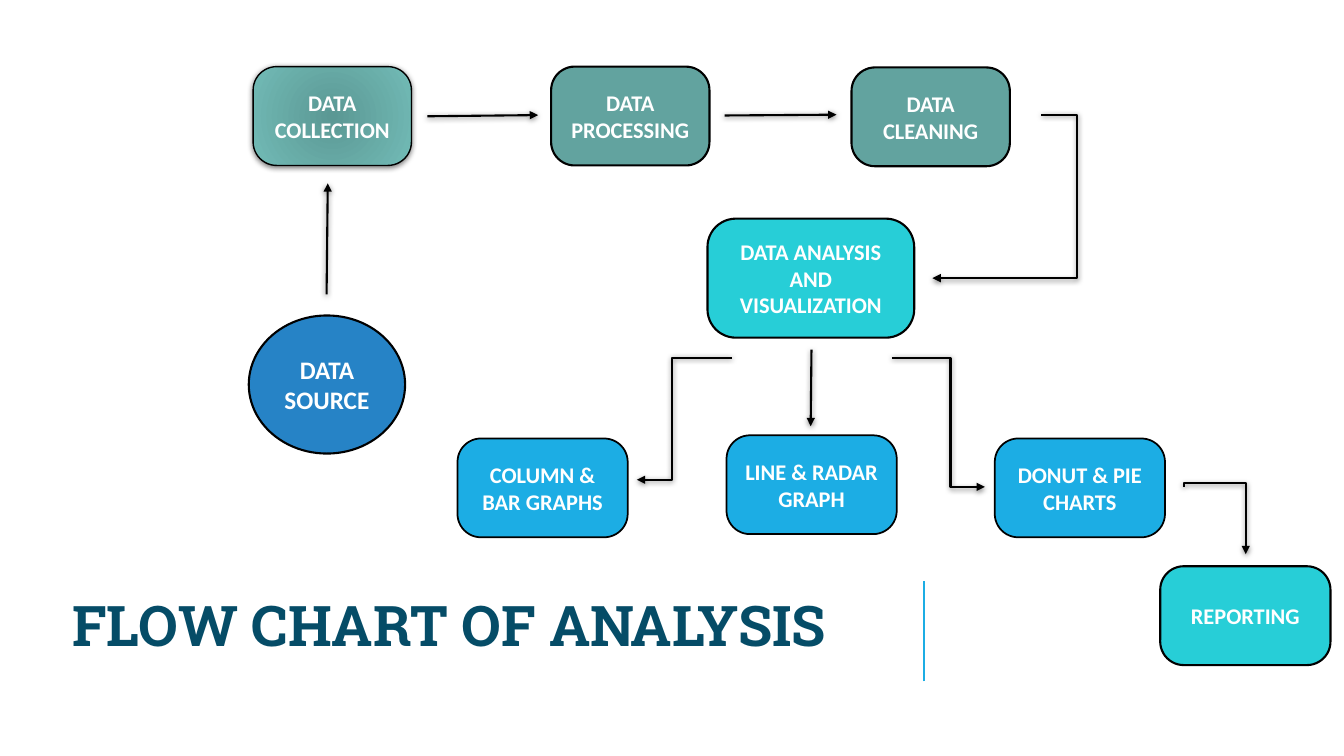
"""Build a one-slide flow chart of the data analysis process."""
import lxml.etree
import pptx
import pptx.dml.color
import pptx.enum.dml
import pptx.enum.shapes
import pptx.enum.text
import pptx.oxml
import pptx.oxml.ns
import pptx.util

Cm = pptx.util.Cm
Pt = pptx.util.Pt
RGBColor = pptx.dml.color.RGBColor
Shape = pptx.enum.shapes.MSO_SHAPE
Connector = pptx.enum.shapes.MSO_CONNECTOR
qn = pptx.oxml.ns.qn

BLACK = RGBColor(0x00, 0x00, 0x00)
WHITE = RGBColor(0xFF, 0xFF, 0xFF)
BLUE = RGBColor(0x26, 0x83, 0xC6)
SKY = RGBColor(0x1C, 0xAD, 0xE4)
TURQUOISE = RGBColor(0x27, 0xCE, 0xD7)
TEAL = RGBColor(0x62, 0xA3, 0x9F)
TEAL_DARK = RGBColor(0x5B, 0x98, 0x94)
TEAL_LIGHT = RGBColor(0x72, 0xBB, 0xB6)
NAVY_DARK = RGBColor(0x04, 0x35, 0x48)
NAVY = RGBColor(0x05, 0x4C, 0x67)
NAVY_LIGHT = RGBColor(0x06, 0x5A, 0x7A)
AQUA = RGBColor(0x7D, 0xE2, 0xE7)

NAMESPACE = 'xmlns:a="http://schemas.openxmlformats.org/drawingml/2006/main"'
SHADOW = (
    f'<a:effectLst {NAMESPACE}><a:outerShdw blurRad="50800" dist="12700" dir="5400000">'
    '<a:srgbClr val="000000"><a:alpha val="50000"/></a:srgbClr></a:outerShdw></a:effectLst>'
)


def radial_fill(colors, focus):
    """Return a circular gradient with evenly spaced colours."""
    stops = "".join(
        f'<a:gs pos="{100000 * index // (len(colors) - 1)}"><a:srgbClr val="{color}"/></a:gs>'
        for index, color in enumerate(colors)
    )
    sides = " ".join(f'{side}="{focus * 1000}"' for side in "ltrb")
    return pptx.oxml.parse_xml(
        f'<a:gradFill {NAMESPACE}><a:gsLst>{stops}</a:gsLst>'
        f'<a:path path="circle"><a:fillToRect {sides}/></a:path></a:gradFill>'
    )


presentation = pptx.Presentation()
presentation.slide_width = Cm(33.87)
presentation.slide_height = Cm(19.05)
slide = presentation.slides.add_slide(presentation.slide_layouts[6])

divider = slide.shapes.add_connector(
    Connector.STRAIGHT, Cm(23.29), Cm(17.17), Cm(23.29), Cm(14.63))
divider.line.color.rgb = SKY
divider.line.width = Pt(1.5)
lxml.etree.SubElement(divider._element.spPr, qn("a:effectLst"))

STEP_SIZE = (3.99, 2.49)
CHART_SIZE = (4.29, 2.49)
nodes = [
    ("DATA SOURCE", 6.27, 7.95, (3.94, 3.48), BLUE, 1.5),
    ("DATA COLLECTION", 6.38, 1.68, STEP_SIZE, TEAL_DARK, 1),
    ("DATA PROCESSING", 13.89, 1.68, STEP_SIZE, TEAL, 1.5),
    ("DATA CLEANING", 21.46, 1.70, STEP_SIZE, TEAL, 1.5),
    ("DATA ANALYSIS AND\nVISUALIZATION", 17.83, 5.51, (5.21, 3), TURQUOISE, 1.5),
    ("COLUMN & BAR GRAPHS", 11.53, 11.05, CHART_SIZE, SKY, 1.25),
    ("LINE & RADAR GRAPH", 18.31, 10.97, CHART_SIZE, SKY, 1.25),
    ("DONUT & PIE CHARTS", 25.07, 11.05, CHART_SIZE, SKY, 1.25),
    ("REPORTING", 29.24, 14.27, CHART_SIZE, TURQUOISE, 1.5),
]
for label, left, top, (width, height), color, outline in nodes:
    is_source = label == "DATA SOURCE"
    kind = Shape.FLOWCHART_CONNECTOR if is_source else Shape.ROUNDED_RECTANGLE
    shape = slide.shapes.add_shape(kind, Cm(left), Cm(top), Cm(width), Cm(height))
    if not is_source:
        shape.adjustments[0] = 0.238
    shape.fill.solid()
    shape.fill.fore_color.rgb = color
    shape.line.color.rgb = BLACK
    shape.line.width = Pt(outline)
    if label == "DATA COLLECTION":
        properties = shape._element.spPr
        properties.replace(properties.find(qn("a:solidFill")),
                           radial_fill([TEAL_DARK, TEAL_LIGHT], 100))
        properties.append(pptx.oxml.parse_xml(SHADOW))
    else:
        shape.shadow.inherit = False
    frame = shape.text_frame
    frame.word_wrap = True
    frame.vertical_anchor = pptx.enum.text.MSO_ANCHOR.MIDDLE
    for index, text in enumerate(label.split("\n")):
        paragraph = frame.add_paragraph() if index else frame.paragraphs[0]
        paragraph.alignment = pptx.enum.text.PP_ALIGN.CENTER
        run = paragraph.add_run()
        run.text = text
        run.font.name = "Calibri"
        run.font.size = Pt(18 if is_source else 16)
        run.font.bold = True
        run.font.color.rgb = WHITE

arrows = [
    (8.23, 7.42, 8.26, 4.62, None, 0),
    (10.77, 2.93, 13.56, 2.90, None, 0),
    (18.26, 2.91, 21.08, 2.89, None, 0),
    (26.24, 2.90, 23.50, 7.01, -0.33, 0),
    (20.45, 8.81, 20.43, 10.74, None, 0),
    (22.48, 9.02, 24.82, 12.27, 0.63, 0),
    (18.44, 9.02, 16.05, 12.09, 0.63, 0),
    (31.47, 12.34, 29.77, 13.89, -0.05, 270),
]
for start_x, start_y, end_x, end_y, bend, rotation in arrows:
    kind = Connector.STRAIGHT if bend is None else Connector.ELBOW
    arrow = slide.shapes.add_connector(
        kind, Cm(start_x), Cm(start_y), Cm(end_x), Cm(end_y))
    arrow.line.color.rgb = BLACK
    arrow.line.width = Pt(1.5)
    properties = arrow._element.spPr
    lxml.etree.SubElement(properties.find(qn("a:ln")), qn("a:tailEnd"), type="triangle")
    properties.append(pptx.oxml.parse_xml(SHADOW))
    if bend is not None:
        guides = properties.find(qn("a:prstGeom")).get_or_add_avLst()
        lxml.etree.SubElement(
            guides, qn("a:gd"), name="adj1", fmla=f"val {round(bend * 100000)}")
    if rotation:
        properties.find(qn("a:xfrm")).set("rot", str(rotation * 60000))

title = slide.shapes.add_textbox(Cm(1.57), Cm(14.94), Cm(21.46), Cm(1.96))
title.text_frame.word_wrap = True
title.text_frame.auto_size = pptx.enum.text.MSO_AUTO_SIZE.SHAPE_TO_FIT_TEXT
paragraph = title.text_frame.paragraphs[0]
paragraph.line_spacing = 0.9
run = paragraph.add_run()
run.text = "FLOW CHART OF ANALYSIS"
run.font.name = "Roboto Slab"
run.font.size = Pt(40)
run.font.bold = True
run_properties = run.font._element
run_properties.insert(0, pptx.oxml.parse_xml(
    f'<a:ln {NAMESPACE} w="{Pt(0.75)}"><a:solidFill><a:srgbClr val="{AQUA}"/></a:solidFill></a:ln>'))
run_properties.insert(1, radial_fill([NAVY_DARK, NAVY, NAVY_LIGHT], 50))

presentation.save("out.pptx")
